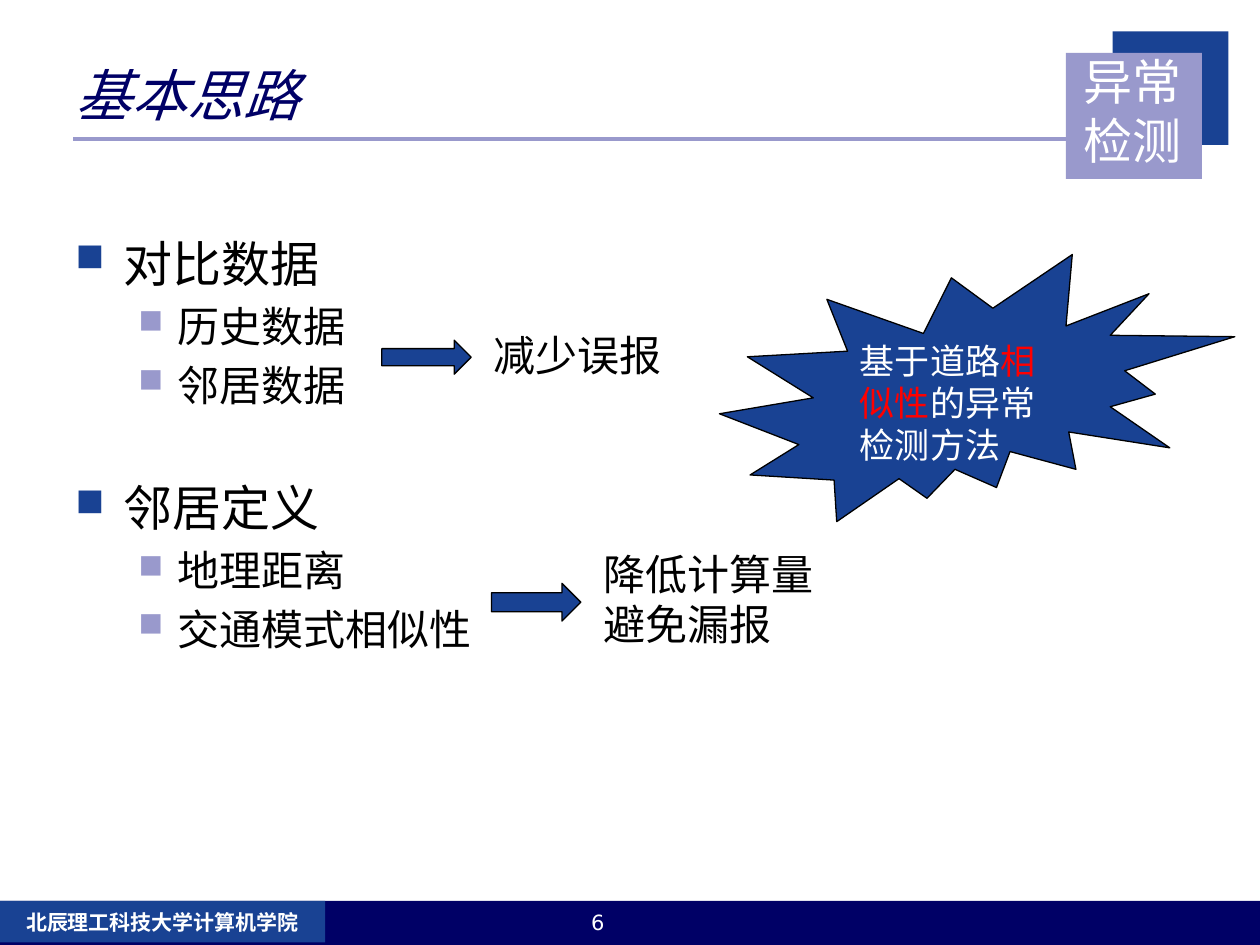
from lxml import etree
from pptx import Presentation
from pptx.dml.color import RGBColor
from pptx.enum.shapes import MSO_CONNECTOR, MSO_SHAPE
from pptx.enum.text import MSO_ANCHOR, PP_ALIGN
from pptx.oxml.ns import qn
from pptx.util import Inches, Pt

RECT = MSO_SHAPE.RECTANGLE
ARROW = MSO_SHAPE.RIGHT_ARROW
BURST = MSO_SHAPE.EXPLOSION2
LINE = MSO_CONNECTOR.STRAIGHT
LEFT, MID = PP_ALIGN.LEFT, PP_ALIGN.CENTER
TOP, CENTER = MSO_ANCHOR.TOP, MSO_ANCHOR.MIDDLE

NAVY = RGBColor(0x00, 0x00, 0x66)
BLUE = RGBColor(0x19, 0x42, 0x93)
LILAC = RGBColor(0x99, 0x99, 0xCC)
BLACK = RGBColor(0x00, 0x00, 0x00)
WHITE = RGBColor(0xFF, 0xFF, 0xFF)
RED = RGBColor(0xFF, 0x00, 0x00)

WIDE, HIGH = 10, 7.5
LEAD = 1.2  # line height as a multiple of the text size
SANS = "Noto Sans CJK SC"
SERIF = "Times New Roman"

# level: size, left indent, hanging indent, bullet colour
LEVELS = {0: (28, 0.38, 0.38, BLUE), 1: (24, 0.81, 0.31, LILAC)}
GROUPS = [
    ("对比数据", ["历史数据", "邻居数据"]),
    ("邻居定义", ["地理距离", "交通模式相似性"]),
]
GAP = 39  # points above the second group


def add_shape(slide, kind, box, fill, edge=None):
    shape = slide.shapes.add_shape(kind, *map(Inches, box))
    shape.shadow.inherit = False
    shape.fill.solid()
    shape.fill.fore_color.rgb = fill
    if edge is None:
        shape.line.fill.background()
    else:
        shape.line.color.rgb = edge
        shape.line.width = Pt(0.75)
    return shape


def add_rule(slide, start, end, color, width):
    rule = slide.shapes.add_connector(LINE, *map(Inches, start + end))
    rule.line.color.rgb = color
    rule.line.width = Pt(width)
    etree.SubElement(rule._element.spPr, qn("a:effectLst"))


def add_run(para, text, size, color, name, **more):
    run = para.add_run()
    run.text = text
    run.font.color.rgb = color
    for key, value in {"size": Pt(size), "name": name, **more}.items():
        setattr(run.font, key, value)


def set_para(para, size, align=LEFT, before=0):
    form = {"alignment": align, "line_spacing": Pt(size * LEAD),
            "space_before": Pt(before)}
    for key, value in form.items():
        setattr(para, key, value)


def add_box(slide, box, anchor=TOP):
    frame = slide.shapes.add_textbox(*map(Inches, box)).text_frame
    frame.word_wrap = True
    frame.vertical_anchor = anchor
    return frame


def add_text(slide, box, lines, size, color, name,
             align=LEFT, anchor=TOP, **more):
    frame = add_box(slide, box, anchor)
    for i, line in enumerate(lines):
        para = frame.add_paragraph() if i else frame.paragraphs[0]
        set_para(para, size, align)
        add_run(para, line, size, color, name, **more)


def add_bullet(para, text, level, before):
    size, left, hang, color = LEVELS[level]
    set_para(para, size, before=before)
    para.level = level
    add_run(para, text, size, BLACK, "Arial")
    props = para._p.get_or_add_pPr()
    props.set("marL", str(Inches(left)))
    props.set("indent", str(-Inches(hang)))
    tint = etree.SubElement(props, qn("a:buClr"))
    etree.SubElement(tint, qn("a:srgbClr"), val=str(color))
    etree.SubElement(props, qn("a:buSzPct"), val="80000")
    etree.SubElement(props, qn("a:buChar"), char="■")


def add_list(slide, box):
    frame = add_box(slide, box)
    frame.margin_top = Inches(0.54)
    for i, (head, items) in enumerate(GROUPS):
        para = frame.add_paragraph() if i else frame.paragraphs[0]
        add_bullet(para, head, 0, GAP * i)
        for item in items:
            add_bullet(frame.add_paragraph(), item, 1, LEVELS[1][0] * 0.2)


def add_burst(slide, box, parts, size):
    frame = add_shape(slide, BURST, box, BLUE, BLACK).text_frame
    frame.word_wrap = True
    frame.vertical_anchor = TOP
    para = frame.paragraphs[0]
    set_para(para, size)
    for text, color in parts:
        add_run(para, text, size, color, SERIF)


def add_frame(slide):
    """Title rule, corner badge and footer bars."""
    add_rule(slide, (0.58, 1.1), (8.5, 1.1), LILAC, 2.25)
    foot = HIGH - 0.35
    add_shape(slide, RECT, (0, foot, WIDE, 0.35), NAVY)
    add_shape(slide, RECT, (8.83, 0.25, 0.92, 0.9), BLUE)
    add_shape(slide, RECT, (8.46, 0.42, 1.08, 1), LILAC)
    add_shape(slide, RECT, (0, foot, 2.58, 0.33), BLUE)
    add_text(slide, (0, 7.17, 2.58, 0.33), ["北辰理工科技大学计算机学院"],
             12, WHITE, SANS, MID, bold=True)
    add_text(slide, (3.58, 7.17, 2.33, 0.33), ["6"],
             12, WHITE, "DejaVu Sans", MID)
    add_text(slide, (8.5, 0.36, 1.31, 1.04), ["异常检测"], 28, WHITE, SERIF)


def main():
    deck = Presentation()
    deck.slide_width, deck.slide_height = Inches(WIDE), Inches(HIGH)
    slide = deck.slides.add_slide(deck.slide_layouts[6])
    add_frame(slide)
    add_text(slide, (0.5, 0.33, 7.92, 0.83), ["基本思路"],
             32, NAVY, "Montserrat", anchor=CENTER, italic=True)
    add_list(slide, (0.5, 1.31, 9, 5.42))
    add_shape(slide, ARROW, (3.03, 2.7, 0.71, 0.27), BLUE, BLACK)
    add_shape(slide, ARROW, (3.9, 4.63, 0.71, 0.3), BLUE, BLACK)
    add_text(slide, (3.82, 2.57, 1.65, 0.5), ["减少误报"], 24, BLACK, SANS)
    add_text(slide, (4.69, 4.3, 3.32, 0.91), ["降低计算量", "避免漏报"],
             24, BLACK, SANS)
    add_burst(slide, (5.71, 2.02, 4.09, 2.12),
              [("基于道路", WHITE), ("相似性", RED), ("的异常检测方法", WHITE)], 20)
    deck.save("out.pptx")


if __name__ == "__main__":
    main()
